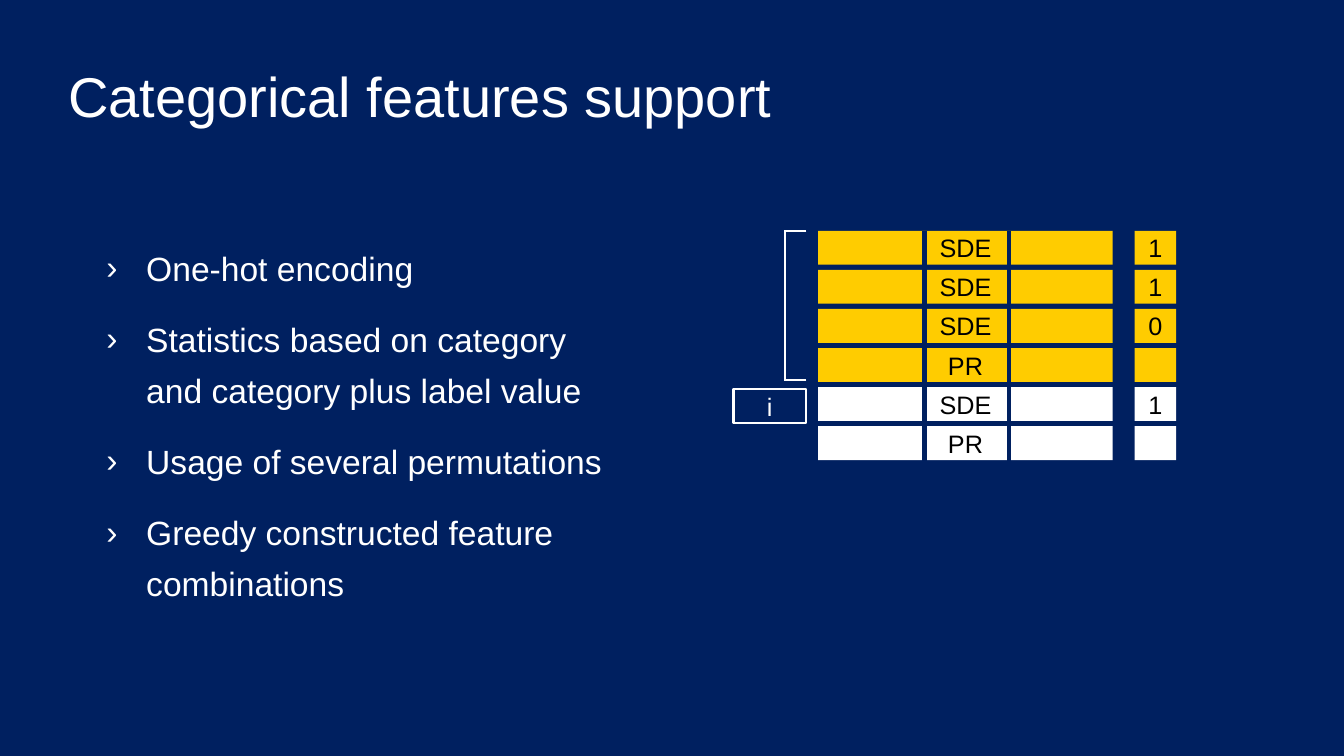
from dataclasses import dataclass

from lxml.etree import SubElement
from pptx import Presentation
from pptx.dml.color import RGBColor
from pptx.enum.shapes import MSO_CONNECTOR, MSO_SHAPE
from pptx.enum.text import MSO_ANCHOR, MSO_AUTO_SIZE, PP_ALIGN
from pptx.oxml.ns import qn
from pptx.util import Inches, Pt

WIDE, HIGH = Inches(26.66), Inches(15)
FONT = "Arial"
HUES = {"navy": "002060", "gold": "FFCC00", "white": "FFFFFF", "black": "000000"}

# All places are percent of the slide's width and height.
TOP, STEP, TALL = 30.53, 5.17, 4.47
TABLE_X, TABLE_W = 60.88, 21.91
LABEL_X, LABEL_W = 84.43, 3.08


@dataclass
class Box:
    x: float
    y: float
    w: float
    h: float


@dataclass
class Row:
    name: str
    label: str
    fill: str


@dataclass
class Line:
    x1: float
    y1: float
    x2: float
    y2: float
    hue: str
    size: float


POINTS = [
    "One-hot encoding",
    "Statistics based on category and category plus label value",
    "Usage of several permutations",
    "Greedy constructed feature combinations",
]
ROWS = [
    Row("SDE", "1", "gold"),
    Row("SDE", "1", "gold"),
    Row("SDE", "0", "gold"),
    Row("PR", "", "gold"),
    Row("SDE", "1", "white"),
    Row("PR", "", "white"),
]
LEFT, RIGHT, BASE = 58.44, 60.0, 50.3
CUTS = [Line(x, TOP, x, 61.6, "navy", 6) for x in (68.79, 75.06)]
BRACKET = [
    Line(RIGHT, TOP, LEFT, TOP, "white", 3),
    Line(LEFT, TOP - 0.1, LEFT, BASE + 0.1, "white", 3),
    Line(RIGHT, BASE, LEFT, BASE, "white", 3),
]


def across(part: float) -> int:
    return round(WIDE * part / 100)


def down(part: float) -> int:
    return round(HIGH * part / 100)


def color(name: str) -> RGBColor:
    return RGBColor.from_string(HUES[name])


def place(shape, box: Box) -> None:
    shape.left, shape.top = across(box.x), down(box.y)
    shape.width, shape.height = across(box.w), down(box.h)


def write(para, text: str, *, size=36, hue="black", align=PP_ALIGN.CENTER,
          space=None, before=0) -> None:
    para.alignment = align
    para.space_before = Pt(before)
    if space:
        para.line_spacing = space
    run = para.add_run()
    run.text = text
    run.font.name, run.font.size = FONT, Pt(size)
    run.font.color.rgb = color(hue)


def add_bullet(para, mark: str, hue: str) -> None:
    """Hang a coloured mark in front of the paragraph."""
    props = para._p.get_or_add_pPr()
    props.set("marL", str(Inches(1.65)))
    props.set("indent", str(Inches(-0.79)))
    tint = SubElement(props, qn("a:buClr"))
    SubElement(tint, qn("a:srgbClr"), val=HUES[hue])
    SubElement(props, qn("a:buFont"), typeface=FONT)
    SubElement(props, qn("a:buChar"), char=mark)


def add_bar(slide, box: Box, text: str, fill=None, hue="black") -> None:
    """Draw a filled bar, or an outlined one when no fill is given."""
    bar = slide.shapes.add_shape(MSO_SHAPE.ROUNDED_RECTANGLE, 0, 0, 0, 0)
    place(bar, box)
    bar.adjustments[0] = 0
    bar.shadow.inherit = False
    if fill:
        bar.fill.solid()
        bar.fill.fore_color.rgb = color(fill)
        bar.line.fill.background()
    else:
        bar.fill.background()
        bar.line.color.rgb = color(hue)
        bar.line.width = Pt(3)
    if text:
        bar.text_frame.vertical_anchor = MSO_ANCHOR.MIDDLE
        write(bar.text_frame.paragraphs[0], text, hue=hue)


def add_line(slide, line: Line) -> None:
    link = slide.shapes.add_connector(
        MSO_CONNECTOR.STRAIGHT, across(line.x1), down(line.y1),
        across(line.x2), down(line.y2))
    link.line.color.rgb = color(line.hue)
    link.line.width = Pt(line.size)
    SubElement(link._element.spPr, qn("a:effectLst"))


def fill_title(slide) -> None:
    title = slide.shapes.title
    place(title, Box(4.69, 5.53, 90.77, 11))
    frame = title.text_frame
    frame.auto_size = MSO_AUTO_SIZE.NONE
    frame.vertical_anchor = MSO_ANCHOR.TOP
    write(frame.paragraphs[0], "Categorical features support", size=80,
          hue="white", align=PP_ALIGN.LEFT, space=1.25)


def fill_list(slide) -> None:
    body = slide.placeholders[1]
    place(body, Box(4.69, 22.2, 42.27, 66.8))
    frame = body.text_frame
    frame.auto_size = MSO_AUTO_SIZE.NONE
    frame.vertical_anchor = MSO_ANCHOR.MIDDLE
    frame.margin_left = 0
    for i, point in enumerate(POINTS):
        para = frame.add_paragraph() if i else frame.paragraphs[0]
        para.level = 1
        write(para, point, size=48, hue="white", align=PP_ALIGN.LEFT,
              space=1.25, before=30 if i else 0)
        add_bullet(para, "›", "white")


def draw_table(slide) -> None:
    for i, row in enumerate(ROWS):
        y = TOP + i * STEP
        add_bar(slide, Box(TABLE_X, y, TABLE_W, TALL), row.name, row.fill)
        add_bar(slide, Box(LABEL_X, y, LABEL_W, TALL), row.label, row.fill)
    for line in CUTS + BRACKET:
        add_line(slide, line)
    add_bar(slide, Box(54.58, 51.47, 5.36, TALL), "i", hue="white")


def main() -> None:
    deck = Presentation()
    deck.slide_width, deck.slide_height = WIDE, HIGH
    slide = deck.slides.add_slide(deck.slide_layouts[1])
    slide.background.fill.solid()
    slide.background.fill.fore_color.rgb = color("navy")
    fill_title(slide)
    fill_list(slide)
    draw_table(slide)
    deck.save("out.pptx")


if __name__ == "__main__":
    main()
